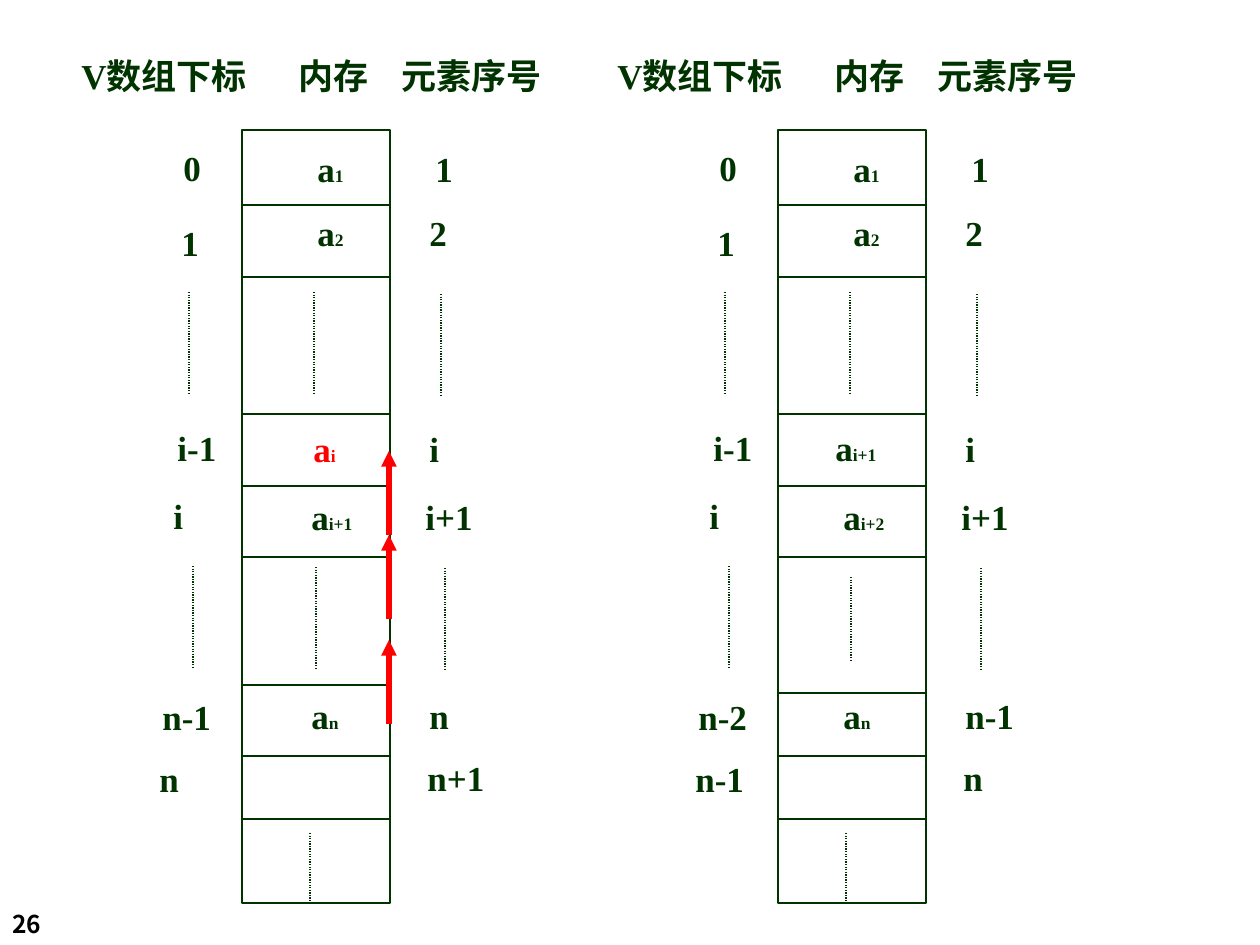
"""Build a slide showing an array in memory before and after deleting an element."""
from lxml import etree
from pptx import Presentation
from pptx.dml.color import RGBColor
from pptx.enum.dml import MSO_LINE
from pptx.enum.shapes import MSO_CONNECTOR, MSO_SHAPE
from pptx.enum.text import MSO_AUTO_SIZE
from pptx.oxml.ns import qn
from pptx.util import Emu, Pt

STRAIGHT = MSO_CONNECTOR.STRAIGHT
RECTANGLE = MSO_SHAPE.RECTANGLE
DOTTED = MSO_LINE.ROUND_DOT
FIT_SHAPE = MSO_AUTO_SIZE.SHAPE_TO_FIT_TEXT

SCALE = 914400 / 126
COLORS = {"green": "003300", "red": "FF0000", "black": "000000"}
SERIF = "Times New Roman"
SANS = "Noto Sans CJK SC"
LABEL_HEIGHT = 50
WIDTHS = {
    "V数组下标": 202, "内存": 98, "元素序号": 169,
    "0": 45, "1": 45, "2": 45, "i": 37, "n": 47,
    "i-1": 67, "i+1": 76, "n-1": 77, "n-2": 77, "n+1": 85,
    "a1": 55, "a2": 55, "ai": 51, "an": 55, "ai+1": 69, "ai+2": 69,
}

HEADINGS = [("V数组下标", 69), ("内存", 286), ("元素序号", 389)]
HEADING_TOP = 53
MEMORY_LEFT, MEMORY_TOP, MEMORY_RIGHT, MEMORY_BOTTOM = 242, 130, 390, 903
INDEX_PLACES = [(171, 145), (169, 220), (165, 425), (161, 493), (150, 694), (147, 756)]
NUMBER_PLACES = [(423, 146), (417, 210), (417, 426), (413, 494), (417, 693), (415, 755)]
DIVIDERS = [205, 277, 414, 486, 557, 756, 819]
ELLIPSES = [
    (314, 292, 394), (310, 833, 903), (189, 292, 394),
    (193, 566, 668), (441, 294, 396), (445, 568, 670),
]
PANELS = [
    {
        "offset": 0,
        "indices": ["0", "1", "i-1", "i", "n-1", "n"],
        "numbers": ["1", "2", "i", "i+1", "n", "n+1"],
        "cells": [("1", 305, 146), ("2", 305, 210), ("i", 301, 426),
                  ("i+1", 299, 494), ("n", 299, 693)],
        "removed": "i",
        "last_divider": 685,
        "ellipsis": (316, 567, 669),
    },
    {
        "offset": 536,
        "indices": ["0", "1", "i-1", "i", "n-2", "n-1"],
        "numbers": ["1", "2", "i", "i+1", "n-1", "n"],
        "cells": [("1", 305, 146), ("2", 305, 210), ("i+1", 287, 425),
                  ("i+2", 295, 494), ("n", 295, 693)],
        "removed": None,
        "last_divider": 693,
        "ellipsis": (315, 577, 662),
    },
]
ARROW_LEFT, ARROW_LENGTH = 389, 84
ARROW_TOPS = [640, 451, 535]


def px(value):
    return Emu(round(value * SCALE))


def rgb(name):
    return RGBColor.from_string(COLORS[name])


class SlideBuilder:
    def __init__(self, slide):
        self.slide = slide
        self.shapes = slide.shapes
        self.offset = 0

    def start_panel(self, offset):
        self.shapes = self.slide.shapes.add_group_shape().shapes
        self.offset = offset

    def end_panel(self):
        self.shapes = self.slide.shapes
        self.offset = 0

    def text(self, runs, left, top, width, height, font=SERIF, color="green", wrap=False, spacing=0.9):
        box = self.shapes.add_textbox(px(left + self.offset), px(top), px(width), px(height))
        box.text_frame.word_wrap = wrap
        box.text_frame.auto_size = FIT_SHAPE
        paragraph = box.text_frame.paragraphs[0]
        paragraph.line_spacing = spacing
        for content, size in runs:
            run = paragraph.add_run()
            run.text = content
            for name, value in {"size": Pt(size), "name": font, "bold": True}.items():
                setattr(run.font, name, value)
            run.font.color.rgb = rgb(color)
            east_asian = etree.SubElement(run.font._element, qn("a:ea"))
            east_asian.set("typeface", SANS)

    def label(self, content, left, top):
        self.text([(content, 20)], left, top, WIDTHS[content], LABEL_HEIGHT)

    def cell(self, subscript, left, top, color):
        runs = [("a", 20), (subscript, 10)]
        self.text(runs, left, top, WIDTHS["a" + subscript], LABEL_HEIGHT, color=color)

    def outline(self, left, top, right, bottom):
        shape = self.shapes.add_shape(
            RECTANGLE, px(left + self.offset), px(top), px(right - left), px(bottom - top))
        shape.shadow.inherit = False
        shape.fill.background()
        shape.line.color.rgb = rgb("green")
        shape.line.width = Pt(0.75)

    def line(self, left, top, right, bottom, color="green", width=0.75, dash=None):
        connector = self.shapes.add_connector(
            STRAIGHT, px(left + self.offset), px(top), px(right + self.offset), px(bottom))
        connector.line.color.rgb = rgb(color)
        for name, value in {"width": Pt(width), "dash_style": dash}.items():
            setattr(connector.line, name, value)
        etree.SubElement(connector._element.spPr, qn("a:effectLst"))
        return connector

    def arrow(self, left, top, length):
        connector = self.line(left, top, left, top + length, "red", 3)
        head = etree.SubElement(connector.line._get_or_add_ln(), qn("a:headEnd"))
        head.set("type", "triangle")

    def panel(self, panel):
        self.start_panel(panel["offset"])
        self.outline(MEMORY_LEFT, MEMORY_TOP, MEMORY_RIGHT, MEMORY_BOTTOM)
        for heading, left in HEADINGS:
            self.label(heading, left, HEADING_TOP)
        for y in DIVIDERS + [panel["last_divider"]]:
            self.line(MEMORY_LEFT, y, MEMORY_RIGHT, y)
        for x, top, bottom in ELLIPSES + [panel["ellipsis"]]:
            self.line(x, top, x, bottom, dash=DOTTED)
        labels = panel["indices"] + panel["numbers"]
        for content, (left, top) in zip(labels, INDEX_PLACES + NUMBER_PLACES):
            self.label(content, left, top)
        for subscript, left, top in panel["cells"]:
            self.cell(subscript, left, top, "red" if subscript == panel["removed"] else "green")
        self.end_panel()


def main():
    presentation = Presentation()
    presentation.slide_width = px(1260)
    presentation.slide_height = px(945)
    builder = SlideBuilder(presentation.slides.add_slide(presentation.slide_layouts[6]))
    builder.text([("26", 14)], 0, 903, 105, 43, font=SANS, color="black", wrap=True, spacing=1.0)
    for panel in PANELS:
        builder.panel(panel)
    for top in ARROW_TOPS:
        builder.arrow(ARROW_LEFT, top, ARROW_LENGTH)
    presentation.save("out.pptx")


if __name__ == "__main__":
    main()
